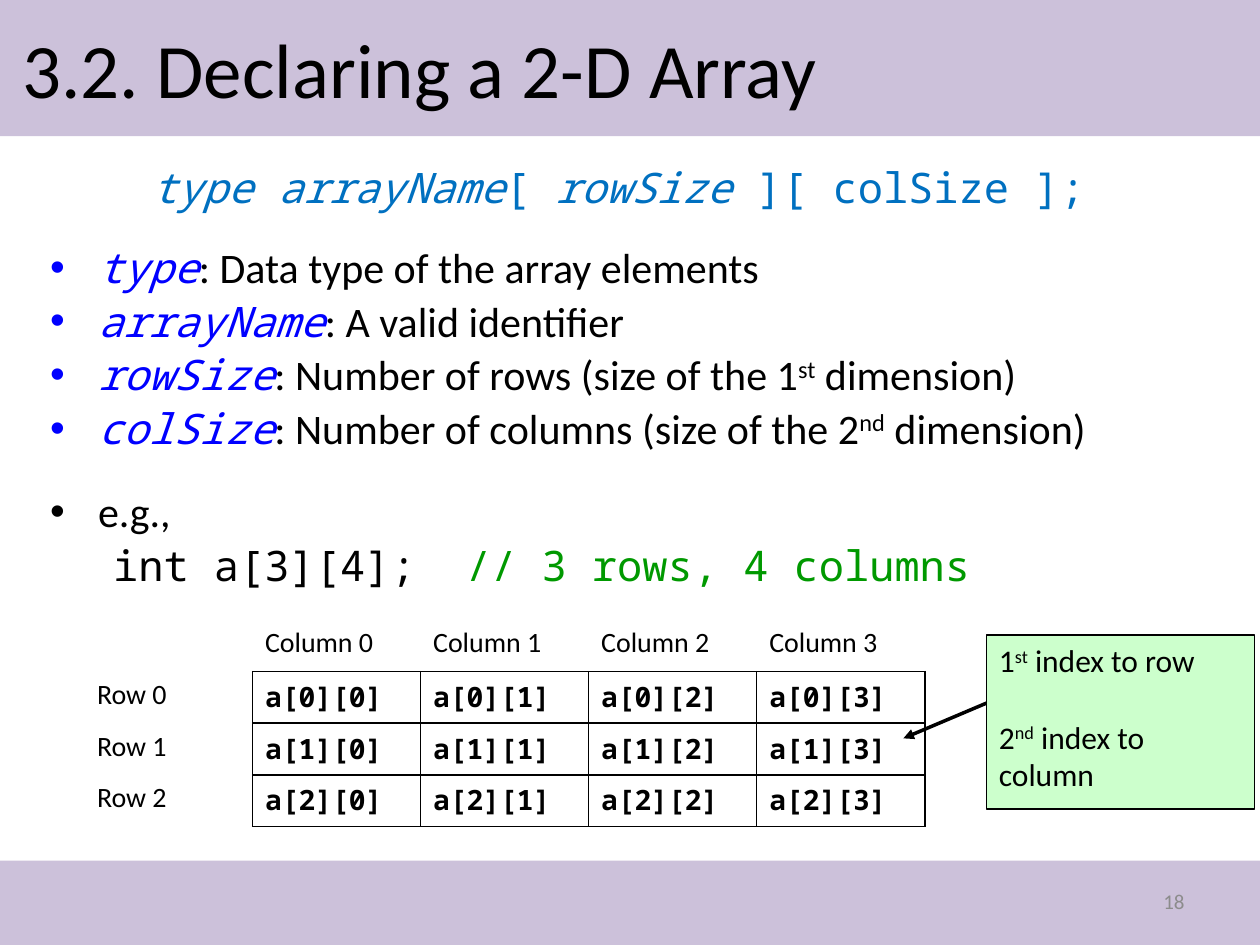
from lxml import etree
from pptx import Presentation
from pptx.dml.color import RGBColor
from pptx.enum.shapes import MSO_CONNECTOR, MSO_SHAPE
from pptx.enum.text import MSO_ANCHOR, PP_ALIGN
from pptx.oxml.ns import qn
from pptx.util import Inches, Pt

RECTANGLE = MSO_SHAPE.RECTANGLE
STRAIGHT = MSO_CONNECTOR.STRAIGHT
TOP, MIDDLE = MSO_ANCHOR.TOP, MSO_ANCHOR.MIDDLE
LEFT, RIGHT = PP_ALIGN.LEFT, PP_ALIGN.RIGHT

SANS, MONO = "Calibri", "Noto Sans Mono"
NO_STYLE = "{2D5ABB26-0587-4C30-8999-92F81FD0307C}"
COLORS = {
    "black": "000000", "band": "CCC1DA", "syntax": "0070C0", "term": "0000FF",
    "comment": "009900", "callout": "CCFFCC", "number": "8C8C8C",
}


def color(name):
    return RGBColor.from_string(COLORS[name])


def add_span(para, text, size, ink="black", name=SANS, italic=False, bold=False, raised=False):
    span = para.add_run()
    span.text = text
    span.font.size = Pt(size)
    span.font.name = name
    span.font.color.rgb = color(ink)
    span.font.italic = italic
    span.font.bold = bold
    if raised:
        span.font._element.set("baseline", "30000")


deck = Presentation()
deck.slide_width, deck.slide_height = Inches(10), Inches(7.5)
page = deck.slides.add_slide(deck.slide_layouts[6])

# Header and footer bands
for top, height in ((0, 1.08), (6.83, 0.67)):
    band = page.shapes.add_shape(RECTANGLE, 0, Inches(top), Inches(10), Inches(height))
    band.shadow.inherit = False
    band.fill.solid()
    band.fill.fore_color.rgb = color("band")
    band.line.fill.background()

# Title and page number
for place, text, size, ink, align in (
    ((0.08, 0.08, 9.76, 0.92), "3.2. Declaring a 2-D Array", 44, "black", LEFT),
    ((7.17, 6.95, 2.33, 0.4), "18", 12, "number", RIGHT),
):
    box = page.shapes.add_textbox(*map(Inches, place))
    box.text_frame.word_wrap = True
    box.text_frame.vertical_anchor = MIDDLE
    para = box.text_frame.paragraphs[0]
    para.alignment = align
    add_span(para, text, size, ink)

# Syntax, explanations and example: left margin, first-line indent, bullet, space before, spans
PLAIN, RAISED = {}, {"raised": True}
SYNTAX = {"ink": "syntax", "name": MONO}
SYNTAX_ITALIC = {**SYNTAX, "italic": True}
TERM = {"ink": "term", "name": MONO, "italic": True}
lines = [
    (0.81, 0, False, 0, [("type arrayName", SYNTAX_ITALIC), ("[ ", SYNTAX),
                         ("rowSize ", SYNTAX_ITALIC), ("][ colSize ];", SYNTAX)]),
    (0.38, -0.38, True, 15, [("type", TERM), (": Data type of the array elements", PLAIN)]),
    (0.38, -0.38, True, 0, [("arrayName", TERM), (": A valid identifier", PLAIN)]),
    (0.38, -0.38, True, 0, [("rowSize", TERM), (": Number of rows (size of the 1", PLAIN),
                            ("st", RAISED), (" dimension)", PLAIN)]),
    (0.38, -0.38, True, 0, [("colSize", TERM), (": Number of columns (size of the 2", PLAIN),
                            ("nd", RAISED), (" dimension)", PLAIN)]),
    (0.38, -0.38, True, 17, [("e.g.,", PLAIN)]),
    (0.81, -0.31, False, 0, [("int a[3][4];  ", {"name": MONO}),
                             ("// 3 rows, 4 columns", {"ink": "comment", "name": MONO})]),
]
body = page.shapes.add_textbox(Inches(0.3), Inches(1.21), Inches(9.67), Inches(3.58))
body.text_frame.word_wrap = True
for index, (margin, indent, bulleted, gap, spans) in enumerate(lines):
    para = body.text_frame.add_paragraph() if index else body.text_frame.paragraphs[0]
    para.line_spacing = Pt(30.6)
    para.space_before = Pt(gap)
    properties = para._p.get_or_add_pPr()
    properties.set("marL", str(Inches(margin)))
    properties.set("indent", str(Inches(indent)))
    if bulleted:
        etree.SubElement(properties, qn("a:buFont"), typeface="Arial")
        etree.SubElement(properties, qn("a:buChar"), char="•")
    for text, style in spans:
        add_span(para, text, 24, **style)

# Array table: only the element cells have borders
ROWS, COLUMNS = 3, 4
frame = page.shapes.add_table(ROWS + 1, COLUMNS + 1, Inches(0.67), Inches(4.92),
                              Inches(6.67), Inches(1.64))
table = frame.table
table.first_row = table.horz_banding = False
table._tbl.tblPr.find(qn("a:tableStyleId")).text = NO_STYLE
for row in range(ROWS + 1):
    table.rows[row].height = Inches(0.41)
    for column in range(COLUMNS + 1):
        cell = table.cell(row, column)
        para = cell.text_frame.paragraphs[0]
        if row and column:
            add_span(para, f"a[{row - 1}][{column - 1}]", 16, name=MONO, bold=True)
            sides = "LRTB"
        elif row:
            add_span(para, f"Row {row - 1}", 16)
            sides = "R"
        elif column:
            add_span(para, f"Column {column - 1}", 16)
            sides = "B"
        else:
            sides = ""
        for side in sides:
            border = etree.SubElement(cell._tc.get_or_add_tcPr(), qn(f"a:ln{side}"), w=str(Pt(1)))
            solid = etree.SubElement(border, qn("a:solidFill"))
            etree.SubElement(solid, qn("a:srgbClr"), val=COLORS["black"])
        cell.fill.background()

# Arrow from the callout to the table
arrow = page.shapes.add_connector(STRAIGHT, Inches(7.83), Inches(5.58), Inches(7.17), Inches(5.86))
arrow.line.color.rgb = color("black")
arrow.line.width = Pt(2)
etree.SubElement(arrow.line._get_or_add_ln(), qn("a:tailEnd"), type="triangle")
etree.SubElement(arrow._element.spPr, qn("a:effectLst"))

# Callout
callout = page.shapes.add_shape(RECTANGLE, Inches(7.83), Inches(5.04), Inches(2.13), Inches(1.38))
callout.shadow.inherit = False
callout.fill.solid()
callout.fill.fore_color.rgb = color("callout")
callout.line.color.rgb = color("black")
callout.line.width = Pt(0.75)
callout.text_frame.word_wrap = True
callout.text_frame.vertical_anchor = TOP
for index, (digit, suffix, rest) in enumerate(
    (("1", "st", " index to row"), ("2", "nd", " index to column"))
):
    para = callout.text_frame.add_paragraph() if index else callout.text_frame.paragraphs[0]
    para.alignment = LEFT
    para.space_before = Pt(22 * index)
    add_span(para, digit, 18)
    add_span(para, suffix, 18, raised=True)
    add_span(para, rest, 18)

deck.save("out.pptx")
